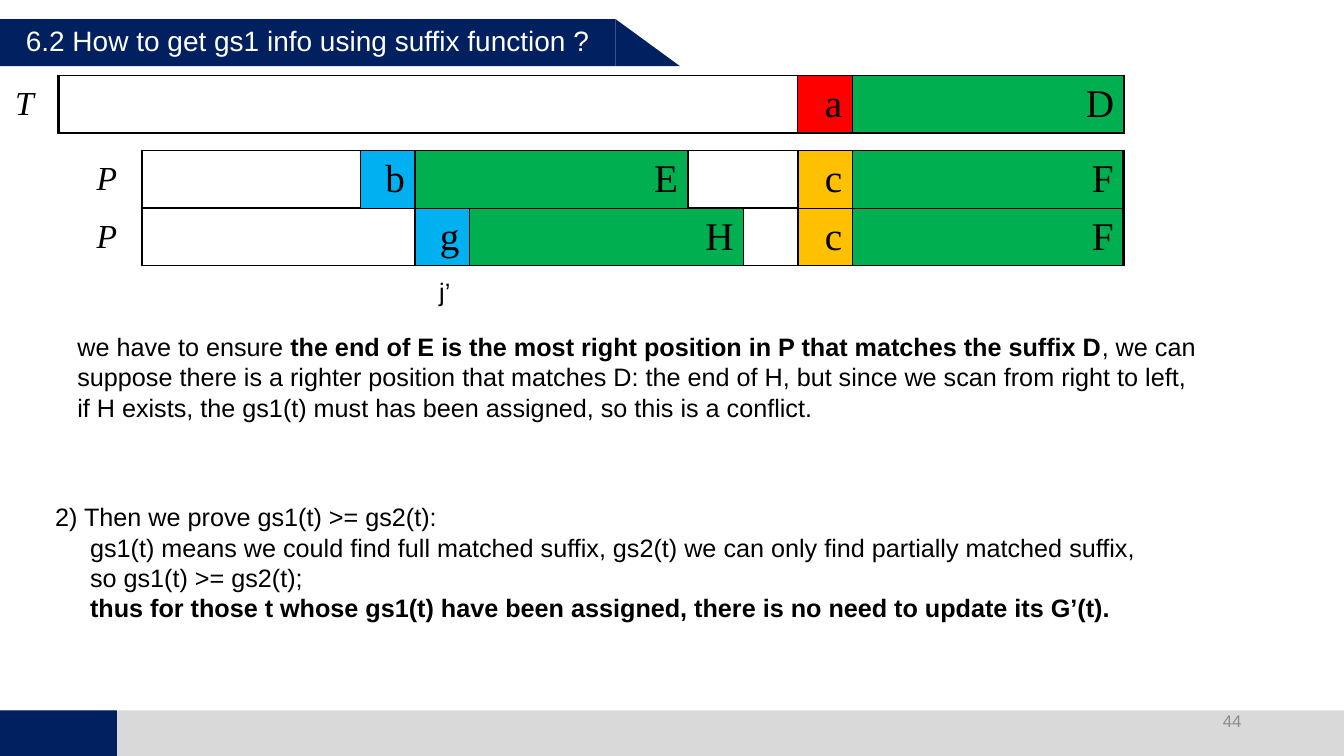
from dataclasses import dataclass

import pptx
import pptx.dml.color
import pptx.enum.shapes
import pptx.enum.text
import pptx.util
from lxml import etree
from pptx.oxml.ns import qn

Cm, Pt = pptx.util.Cm, pptx.util.Pt
ALIGN = pptx.enum.text.PP_ALIGN
ANCHOR = pptx.enum.text.MSO_ANCHOR
SHAPE = pptx.enum.shapes.MSO_SHAPE


@dataclass(frozen=True)
class Theme:
    navy: str = "002060"
    footer: str = "D9D9D9"
    white: str = "FFFFFF"
    black: str = "000000"
    muted: str = "8C8C8C"
    red: str = "FF0000"
    green: str = "00B050"
    blue: str = "00B0F0"
    amber: str = "FFC000"
    sans: str = "Arial"
    serif: str = "Times New Roman"
    title: int = 20
    body: int = 18
    number: int = 12
    label: int = 24
    letter: int = 28
    thin: float = 1
    thick: float = 2.25


T = Theme()
ROW_HEIGHT = 1.45
BODY_INDENT = 0.88


def rgb(color):
    return pptx.dml.color.RGBColor.from_string(color)


def add_block(s, kind, left, top, width, height, color):
    sp = s.shapes.add_shape(kind, Cm(left), Cm(top), Cm(width), Cm(height))
    sp.shadow.inherit = False
    sp.fill.solid()
    sp.fill.fore_color.rgb = rgb(color)
    sp.line.fill.background()


def add_run(p, text, size, color=T.black, font=T.sans, bold=False, italic=False):
    r = p.add_run()
    r.text = text
    r.font.name, r.font.size = font, Pt(size)
    r.font.bold, r.font.italic = bold, italic
    r.font.color.rgb = rgb(color)


def add_text(s, left, top, width, height, paragraphs, size, color=T.black,
             align=ALIGN.LEFT, anchor=ANCHOR.TOP, wrap=True):
    """Each paragraph is (indent in cm, [(text, bold), ...])."""
    tf = s.shapes.add_textbox(Cm(left), Cm(top), Cm(width), Cm(height)).text_frame
    tf.word_wrap = wrap
    tf.vertical_anchor = anchor
    for i, (indent, runs) in enumerate(paragraphs):
        p = tf.add_paragraph() if i else tf.paragraphs[0]
        p.alignment = align
        if indent:
            p._p.get_or_add_pPr().set("marL", str(Cm(indent)))
        for text, bold in runs:
            add_run(p, text, size, color, bold=bold)


def set_borders(cell, **widths):
    """Draw the given sides (L, R, T, B) in black and clear the others."""
    tcPr = cell._tc.get_or_add_tcPr()
    for side in "LRTB":
        ln = etree.SubElement(tcPr, qn(f"a:ln{side}"))
        width = widths.get(side)
        if width:
            ln.set("w", str(Pt(width)))
            fill = etree.SubElement(ln, qn("a:solidFill"))
            etree.SubElement(fill, qn("a:srgbClr")).set("val", T.black)
        else:
            etree.SubElement(ln, qn("a:noFill"))


def add_string_row(s, left, top, name, name_width, segments):
    """A named string as one row; each segment is (width, letter, fill)."""
    cells = [(name_width, name, None)] + segments
    total = sum(width for width, _, _ in cells)
    table = s.shapes.add_table(1, len(cells), Cm(left), Cm(top),
                               Cm(total), Cm(ROW_HEIGHT)).table
    table.first_row = table.horz_banding = False
    last = len(cells) - 1
    for i, (width, text, color) in enumerate(cells):
        table.columns[i].width = Cm(width)
        cell = table.cell(0, i)
        cell.vertical_anchor = ANCHOR.MIDDLE
        if i == 0:
            set_borders(cell, R=T.thick)
        else:
            set_borders(cell, L=T.thick if i == 1 else T.thin,
                        R=T.thick if i == last else T.thin, T=T.thin, B=T.thin)
        if color:
            cell.fill.solid()
            cell.fill.fore_color.rgb = rgb(color)
        else:
            cell.fill.background()
        if text:
            p = cell.text_frame.paragraphs[0]
            p.alignment = ALIGN.RIGHT if i else ALIGN.LEFT
            add_run(p, text, T.letter if i else T.label, font=T.serif, italic=i == 0)


def main():
    prs = pptx.Presentation()
    prs.slide_width, prs.slide_height = Cm(33.87), Cm(19.05)
    s = prs.slides.add_slide(prs.slide_layouts[6])

    # Footer band
    add_block(s, SHAPE.RECTANGLE, 0, 17.9, 33.87, 1.15, T.footer)
    add_block(s, SHAPE.RECTANGLE, 0, 17.9, 2.95, 1.15, T.navy)

    # Title banner
    add_block(s, SHAPE.RECTANGLE, 0, 0.48, 15.51, 1.19, T.navy)
    add_block(s, SHAPE.RIGHT_TRIANGLE, 15.51, 0.48, 1.63, 1.19, T.navy)
    add_text(s, 0.4, 0.48, 15.65, 1.12,
             [(0, [("6.2 How to get gs1 info using suffix function ?", False)])],
             T.title, T.white)

    # Text T above two alignments of pattern P
    suffix = [(1.37, "c", T.amber), (6.84, "F", T.green)]
    add_string_row(s, 2.18, 5.24, "P", 1.4, [
        (6.88, "", None), (1.37, "g", T.blue), (6.91, "H", T.green),
        (1.37, "", None)] + suffix)
    add_string_row(s, 2.18, 3.8, "P", 1.4, [
        (5.51, "", None), (1.37, "b", T.blue), (6.88, "E", T.green),
        (2.77, "", None)] + suffix)
    add_string_row(s, 0.13, 1.9, "T", 1.34, [
        (18.62, "", None), (1.39, "a", T.red), (6.85, "D", T.green)])
    add_text(s, 10.82, 6.84, 0.87, 1.03, [(0, [("j’", False)])], T.body, wrap=False)

    # Proof
    add_text(s, 1.7, 8.23, 28.7, 2.56, [(0, [
        ("we have to ensure ", False),
        ("the end of E is the most right position in P that matches the suffix D", True),
        (", we can suppose there is a righter position that matches D: the end of H, "
         "but since we scan from right to left, if H exists, the gs1(t) must has been "
         "assigned, so this is a conflict.", False)])], T.body)
    add_text(s, 1.14, 12.52, 28.96, 3.33, [
        (0, [("2) Then we prove gs1(t) >= gs2(t):", False)]),
        (BODY_INDENT, [("gs1(t) means we could find full matched suffix, gs2(t) we can "
                        "only find partially matched suffix,", False)]),
        (BODY_INDENT, [("so gs1(t) >= gs2(t);", False)]),
        (BODY_INDENT, [("thus for those t whose gs1(t) have been assigned, there is no "
                        "need to update its G’(t).", True)])], T.body)

    # Slide number
    add_text(s, 23.92, 17.66, 7.62, 1.01, [(0, [("44", False)])], T.number, T.muted,
             ALIGN.RIGHT, ANCHOR.MIDDLE)

    prs.save("out.pptx")


if __name__ == "__main__":
    main()
